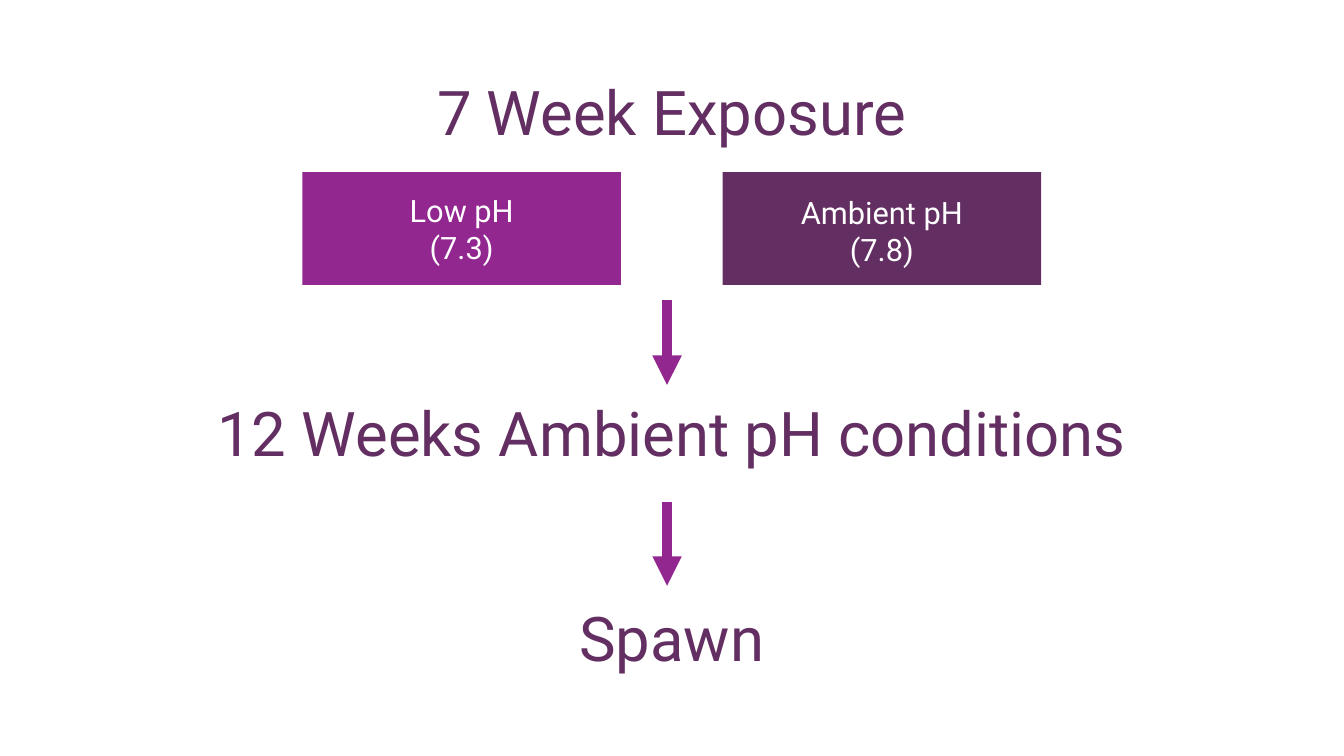
from dataclasses import dataclass

from lxml import etree
from pptx import Presentation
from pptx import util as u
from pptx.dml.color import RGBColor
from pptx.enum import shapes, text
from pptx.oxml import ns


@dataclass(frozen=True)
class Theme:
    font: str = "Roboto"
    purple: str = "92278F"
    plum: str = "632E62"
    white: str = "FFFFFF"
    heading_size: float = 44
    label_size: float = 22
    arrow_width: float = 7


@dataclass(frozen=True)
class Heading:
    wording: str
    top: float
    height: float
    line_spacing: float | None = None


@dataclass(frozen=True)
class Treatment:
    lines: tuple[str, ...]
    left: float
    label_drop: float
    fill: str


@dataclass(frozen=True)
class Arrow:
    top: float
    bottom: float


THEME = Theme()
PAGE_WIDTH, PAGE_HEIGHT = 33.87, 19.05
BOX_TOP, BOX_WIDTH, BOX_HEIGHT = 4.34, 8.03, 2.84
LABEL_WIDTH, LABEL_HEIGHT = 7.09, 2.13
ARROW_X = 16.81

HEADINGS = (
    Heading("7 Week Exposure", 1.73, 2.13),
    Heading("12 Weeks Ambient pH conditions", 9.93, 2.11, line_spacing=49.8),
    Heading("Spawn", 15.11, 2.03, line_spacing=49.8),
)
TREATMENTS = (
    Treatment(("Low pH", "(7.3)"), 7.62, 0.36, THEME.purple),
    Treatment(("Ambient pH", "(7.8)"), 18.21, 0.41, THEME.plum),
)
ARROWS = (Arrow(7.57, 9.7), Arrow(12.65, 14.76))


def add_text(parent, lines: tuple[str, ...], *, left: float, top: float, width: float,
             height: float, size: float, color: str,
             line_spacing: float | None = None) -> None:
    box = parent.add_textbox(u.Cm(left), u.Cm(top), u.Cm(width), u.Cm(height))
    frame = box.text_frame
    frame.word_wrap = True
    frame.text = "\n".join(lines)
    for para in frame.paragraphs:
        para.alignment = text.PP_ALIGN.CENTER
        if line_spacing:
            para.line_spacing = u.Pt(line_spacing)
        for span in para.runs:
            span.font.name = THEME.font
            span.font.size = u.Pt(size)
            span.font.color.rgb = RGBColor.from_string(color)


def add_heading(page, heading: Heading) -> None:
    add_text(page.shapes, (heading.wording,), left=0, top=heading.top,
             width=PAGE_WIDTH, height=heading.height, size=THEME.heading_size,
             color=THEME.plum, line_spacing=heading.line_spacing)


def add_treatment(page, treatment: Treatment) -> None:
    """Group a filled box with its centred label."""
    group = page.shapes.add_group_shape().shapes
    box = group.add_shape(shapes.MSO_SHAPE.RECTANGLE, u.Cm(treatment.left), u.Cm(BOX_TOP),
                          u.Cm(BOX_WIDTH), u.Cm(BOX_HEIGHT))
    box.shadow.inherit = False
    box.fill.solid()
    box.fill.fore_color.rgb = RGBColor.from_string(treatment.fill)
    box.line.fill.background()
    add_text(group, treatment.lines, left=treatment.left + (BOX_WIDTH - LABEL_WIDTH) / 2,
             top=BOX_TOP + treatment.label_drop, width=LABEL_WIDTH, height=LABEL_HEIGHT,
             size=THEME.label_size, color=THEME.white)


def add_arrow(page, arrow: Arrow) -> None:
    line = page.shapes.add_connector(shapes.MSO_CONNECTOR.STRAIGHT, u.Cm(ARROW_X),
                                     u.Cm(arrow.top), u.Cm(ARROW_X), u.Cm(arrow.bottom))
    line.line.color.rgb = RGBColor.from_string(THEME.purple)
    line.line.width = u.Pt(THEME.arrow_width)
    properties = line.element.spPr
    etree.SubElement(properties.find(ns.qn("a:ln")), ns.qn("a:tailEnd"), type="triangle")
    etree.SubElement(properties, ns.qn("a:effectLst"))


def main() -> None:
    deck = Presentation()
    deck.slide_width, deck.slide_height = u.Cm(PAGE_WIDTH), u.Cm(PAGE_HEIGHT)
    page = deck.slides.add_slide(deck.slide_layouts[6])
    for heading in HEADINGS:
        add_heading(page, heading)
    for treatment in TREATMENTS:
        add_treatment(page, treatment)
    for arrow in ARROWS:
        add_arrow(page, arrow)
    deck.save("out.pptx")


if __name__ == "__main__":
    main()
